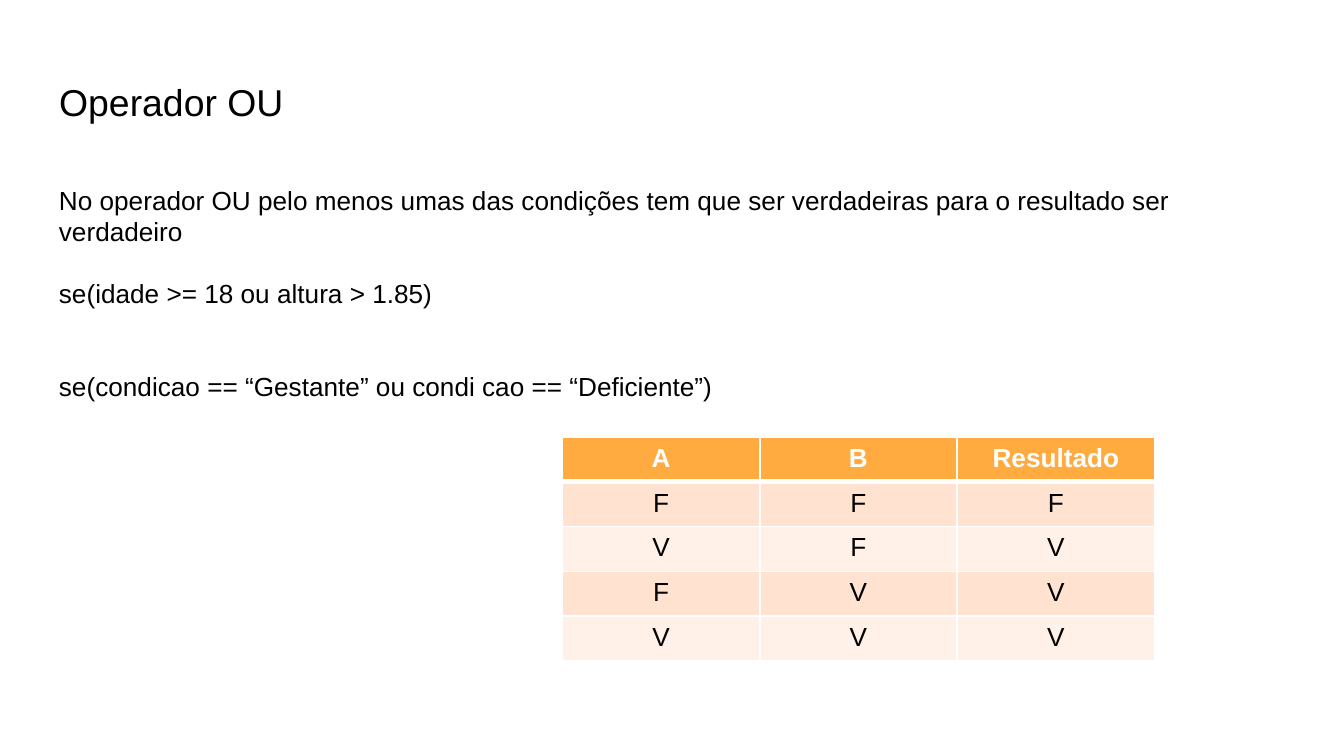
import dataclasses

import pptx
import pptx.dml.color
import pptx.enum.text
import pptx.oxml
import pptx.oxml.ns
import pptx.util

Pt = pptx.util.Pt
FONT = "Arial"
BLACK, WHITE, ORANGE = "000000", "FFFFFF", "FFAB40"
BANDS = ("FFE2CF", "FFF1E8")
BODY_SIZE = 14
BLANK_LINE = 16.5


@dataclasses.dataclass
class Line:
    text: str
    space_before: float = 0


@dataclasses.dataclass
class RowStyle:
    fill: str
    color: str
    bold: bool
    top: float
    bottom: float


LINES = [
    Line("No operador OU pelo menos umas das condições tem que ser "
         "verdadeiras para o resultado ser verdadeiro"),
    Line("se(idade >= 18 ou altura > 1.85)", BLANK_LINE),
    Line("se(condicao == “Gestante” ou condi cao == “Deficiente”)", 2 * BLANK_LINE),
]
TRUTH_TABLE = [("A", "B", "Resultado"), "FFF", "VFV", "FVV", "VVV"]


def rgb(color: str) -> pptx.dml.color.RGBColor:
    return pptx.dml.color.RGBColor.from_string(color)


def add_span(para, text: str, size: float, color: str = BLACK, bold: bool = False) -> None:
    span = para.add_run()
    span.text = text
    span.font.name = FONT
    span.font.size = Pt(size)
    span.font.bold = bold
    span.font.color.rgb = rgb(color)


def place(shape, left: float, top: float, width: float, height: float) -> None:
    shape.left, shape.top = Pt(left), Pt(top)
    shape.width, shape.height = Pt(width), Pt(height)


def add_title(page, text: str) -> None:
    title = page.shapes.title
    place(title, 24.5, 35.3, 144, 45.4)
    frame = title.text_frame
    frame.margin_left = frame.margin_right = Pt(7.2)
    frame.margin_top = frame.margin_bottom = Pt(7.2)
    frame.vertical_anchor = pptx.enum.text.MSO_ANCHOR.TOP
    frame.word_wrap = True
    para = frame.paragraphs[0]
    para.alignment = pptx.enum.text.PP_ALIGN.LEFT
    add_span(para, text, 20)


def add_explanation(page, lines: list[Line]) -> None:
    box = page.shapes.add_textbox(Pt(24.5), Pt(95), Pt(679.7), Pt(108.7))
    frame = box.text_frame
    frame.word_wrap = True
    for index, line in enumerate(lines):
        para = frame.add_paragraph() if index else frame.paragraphs[0]
        para.space_before = Pt(line.space_before)
        add_span(para, line.text, BODY_SIZE)


def set_borders(cell, top: float, bottom: float) -> None:
    properties = cell._tc.get_or_add_tcPr()
    sides = {"lnL": 1, "lnR": 1, "lnT": top, "lnB": bottom}
    for index, (side, width) in enumerate(sides.items()):
        border = pptx.oxml.parse_xml(
            f'<a:{side} {pptx.oxml.ns.nsdecls("a")} w="{int(Pt(width))}">'
            f'<a:solidFill><a:srgbClr val="{WHITE}"/></a:solidFill></a:{side}>')
        properties.insert(index, border)


def row_style(row: int) -> RowStyle:
    if row == 0:
        return RowStyle(ORANGE, WHITE, True, 1, 3)
    return RowStyle(BANDS[(row - 1) % 2], BLACK, False, 3 if row == 1 else 1, 1)


def add_truth_table(page, rows: list) -> None:
    columns = len(rows[0])
    table = page.shapes.add_table(
        len(rows), columns, Pt(301.2), Pt(234), Pt(317.4), Pt(24 * len(rows))).table
    for row, values in enumerate(rows):
        style = row_style(row)
        for column, value in enumerate(values):
            cell = table.cell(row, column)
            cell.fill.solid()
            cell.fill.fore_color.rgb = rgb(style.fill)
            set_borders(cell, style.top, style.bottom)
            para = cell.text_frame.paragraphs[0]
            para.alignment = pptx.enum.text.PP_ALIGN.CENTER
            add_span(para, value, BODY_SIZE, style.color, style.bold)


def main() -> None:
    deck = pptx.Presentation()
    deck.slide_width, deck.slide_height = Pt(720), Pt(405)
    page = deck.slides.add_slide(deck.slide_layouts.get_by_name("Title Only"))
    page.background.fill.solid()
    page.background.fill.fore_color.rgb = rgb(WHITE)
    add_title(page, "Operador OU")
    add_explanation(page, LINES)
    add_truth_table(page, TRUTH_TABLE)
    deck.save("out.pptx")


if __name__ == "__main__":
    main()
